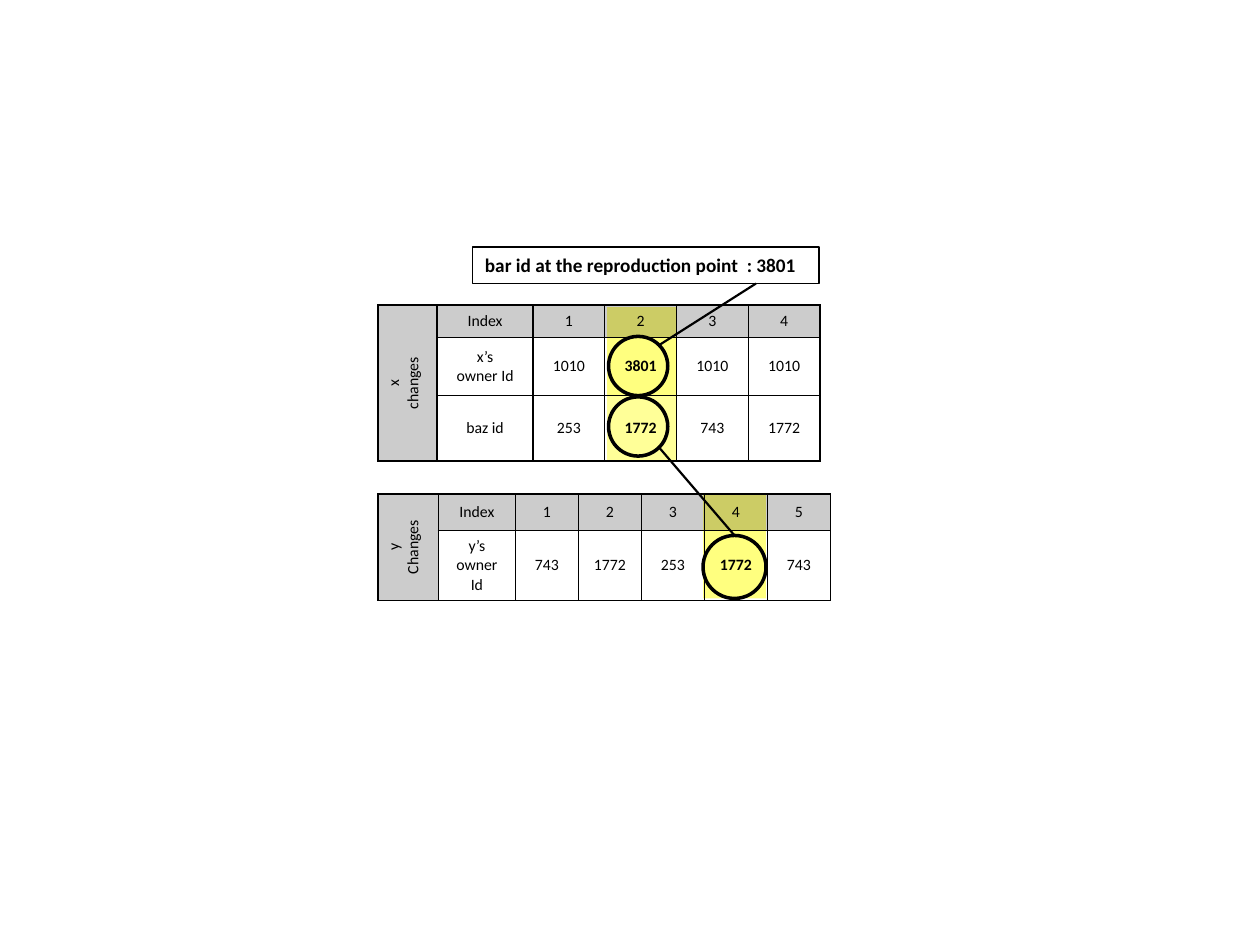
from lxml import etree
from pptx import Presentation
from pptx.dml.color import RGBColor
from pptx.enum.shapes import MSO_CONNECTOR, MSO_SHAPE
from pptx.enum.text import MSO_ANCHOR, PP_ALIGN
from pptx.oxml.ns import qn
from pptx.util import Inches, Pt

RECT, OVAL = MSO_SHAPE.RECTANGLE, MSO_SHAPE.OVAL
LINE = MSO_CONNECTOR.STRAIGHT
MID, CENTER, LEFT = MSO_ANCHOR.MIDDLE, PP_ALIGN.CENTER, PP_ALIGN.LEFT

THEME = {
    "font": "Calibri", "cell": 9, "note": 11,
    "ink": "000000", "paper": "FFFFFF", "mark": "FFFF00",
    "grid": 1, "ring": 2, "link": 1.25, "frame": 0.75,
}
GRAY, PALE, GLOW = ("ink", 20), ("paper", 20), ("mark", 50)

MARKS = [
    {"at": (5.58, 3.92, 0.5, 0.83), "fill": GLOW},
    {"at": (4.8, 2.42, 0.58, 1.25), "fill": GLOW, "line": ("paper", "ring")},
]
TABLES = [
    {
        "at": (3, 2.42), "cols": [0.47, 0.76] + [0.57] * 4,
        "rows": [0.26, 0.46, 0.52], "fills": [GRAY, None, PALE],
        "side": "x\nchanges", "bold": 2,
        "data": [
            ["Index", "1", "2", "3", "4"],
            ["x’s\nowner Id", "1010", "3801", "1010", "1010"],
            ["baz id", "253", "1772", "743", "1772"],
        ],
    },
    {
        "at": (3, 3.92), "cols": [0.48, 0.61] + [0.5] * 5,
        "rows": [0.29, 0.55], "fills": [GRAY, None],
        "side": "y\nChanges", "bold": 4,
        "data": [
            ["Index", "1", "2", "3", "4", "5"],
            ["y’s owner Id", "743", "1772", "253", "1772", "743"],
        ],
    },
]
NOTE = "bar id at the reproduction point  : 3801"
NOTE_AT = (3.75, 1.96, 2.75, 0.29)
RINGS = [(4.83, 2.67, 0.47), (4.83, 3.15, 0.47), (5.58, 4.25, 0.5)]
LINKS = [((6, 2.25), (5.23, 2.74)), ((5.23, 3.55), (5.83, 4.25))]


def color(name):
    return RGBColor.from_string(THEME[name])


def paint(fill, node, look):
    if not look:
        fill.background()
        return
    name, alpha = look
    fill.solid()
    fill.fore_color.rgb = color(name)
    tint = node.find(qn("a:solidFill"))[0]
    etree.SubElement(tint, qn("a:alpha")).set("val", str(alpha * 1000))


def stroke(line, name, width):
    line.color.rgb = color(name)
    line.width = Pt(THEME[width])


def write(frame, text, size, bold, align):
    for i, part in enumerate(text.split("\n")):
        para = frame.add_paragraph() if i else frame.paragraphs[0]
        para.alignment = align
        run = para.add_run()
        run.text = part
        style = {"name": THEME["font"], "size": Pt(THEME[size]), "bold": bold}
        for key, value in style.items():
            setattr(run.font, key, value)
        run.font.color.rgb = color("ink")


def add_box(slide, kind, at, fill=None, line=None):
    box = slide.shapes.add_shape(kind, *map(Inches, at))
    box.shadow.inherit = False
    paint(box.fill, box.element.spPr, fill)
    if line:
        stroke(box.line, *line)
    else:
        box.line.fill.background()
    return box


def edge(props):
    for side in "LRTB":
        rule = etree.SubElement(props, qn("a:ln" + side))
        rule.set("w", str(Pt(THEME["grid"])))
        solid = etree.SubElement(rule, qn("a:solidFill"))
        etree.SubElement(solid, qn("a:srgbClr")).set("val", THEME["ink"])


def add_grid(slide, item):
    cols, rows = item["cols"], item["rows"]
    size = map(Inches, (*item["at"], sum(cols), sum(rows)))
    table = slide.shapes.add_table(len(rows), len(cols), *size).table
    for key in ("first_row", "horz_banding"):
        setattr(table, key, False)
    for col, width in zip(table.columns, cols):
        col.width = Inches(width)
    for row, height in zip(table.rows, rows):
        row.height = Inches(height)
    table.cell(0, 0).merge(table.cell(len(rows) - 1, 0))
    for r, (line, look) in enumerate(zip(item["data"], item["fills"])):
        side = "" if r else item["side"]
        for c, text in enumerate([side] + line):
            cell = table.cell(r, c)
            props = cell._tc.get_or_add_tcPr()
            edge(props)
            paint(cell.fill, props, look if c else GRAY)
            cell.vertical_anchor = MID
            if not c:
                props.set("vert", "vert270")
            if text:
                bold = r > 0 and c == item["bold"] + 1
                write(cell.text_frame, text, "cell", bold, CENTER)


def add_link(slide, start, end):
    link = slide.shapes.add_connector(LINE, *map(Inches, start + end))
    stroke(link.line, "ink", "link")
    etree.SubElement(link.element.spPr, qn("a:effectLst"))


def main():
    deck = Presentation()
    deck.slide_width, deck.slide_height = Inches(10), Inches(7.5)
    slide = deck.slides.add_slide(deck.slide_layouts[6])
    for mark in MARKS:
        add_box(slide, RECT, **mark)
    for item in TABLES:
        add_grid(slide, item)
    note = add_box(slide, RECT, NOTE_AT, line=("ink", "frame"))
    note.text_frame.word_wrap = True
    write(note.text_frame, NOTE, "note", True, LEFT)
    for start, end in LINKS:
        add_link(slide, start, end)
    for left, top, size in RINGS:
        add_box(slide, OVAL, (left, top, size, size), line=("ink", "ring"))
    deck.save("out.pptx")


if __name__ == "__main__":
    main()
